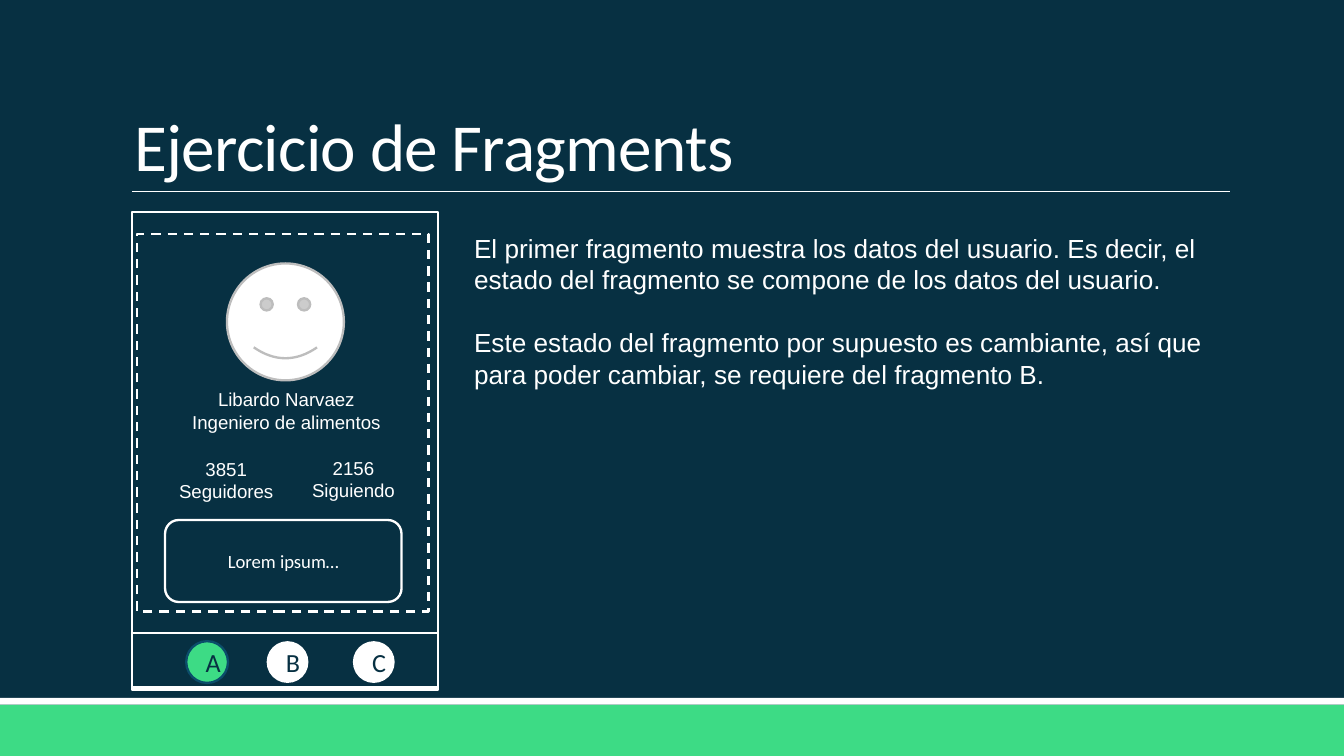
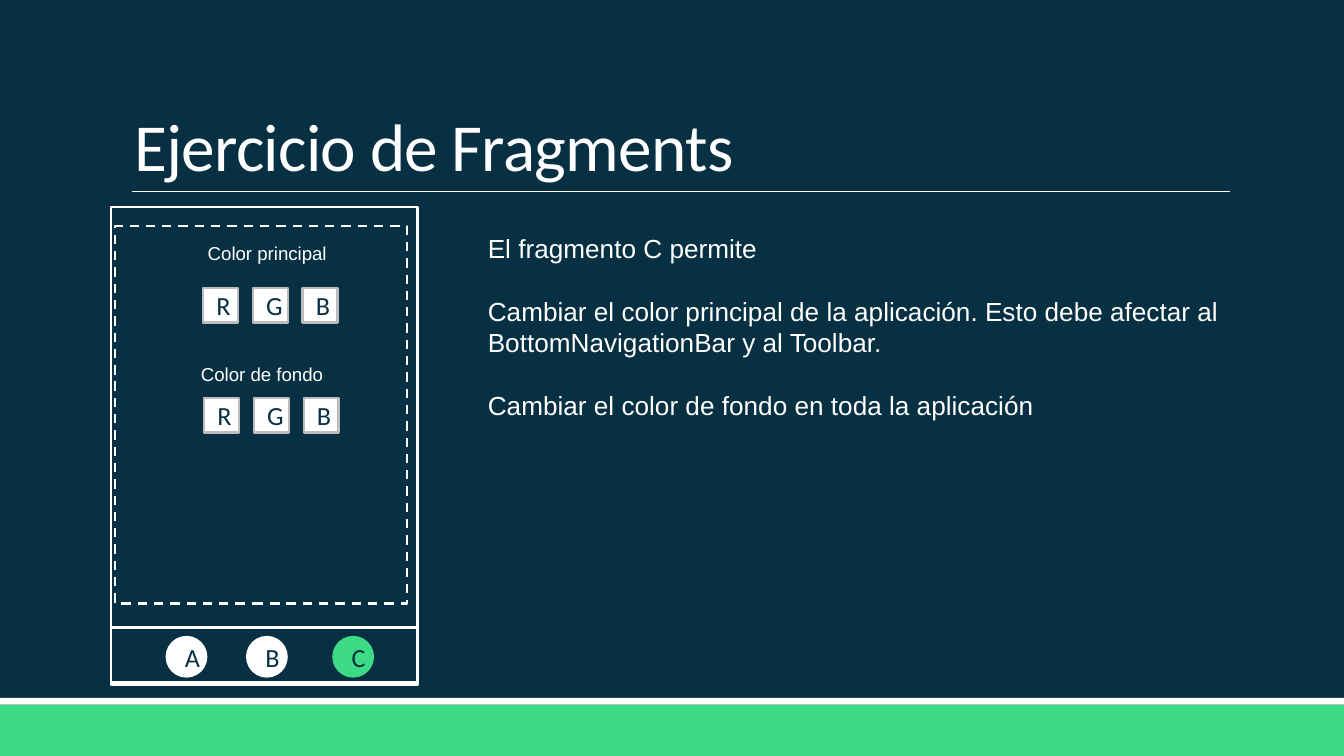
from lxml.etree import SubElement
from pptx import Presentation
from pptx.dml.color import RGBColor
from pptx.enum.dml import MSO_LINE
from pptx.enum.shapes import MSO_CONNECTOR, MSO_SHAPE
from pptx.enum.text import MSO_ANCHOR, MSO_AUTO_SIZE, PP_ALIGN
from pptx.oxml.ns import qn
from pptx.util import Cm, Pt

# Content; boxes are (left, top, width, height) in cm
NAVY, GREEN, WHITE, GREY, BLUE = "073042", "3DDB85", "FFFFFF", "BDBDBD", "0B4D6A"
TITLE = "Ejercicio de Fragments"

USER = {
    "phone": (2.49, 4.01), "pane": (2.59, 4.42),
    "active": "A", "ring": BLUE,
    "body": (8.71, 4.27, 14.53, 3.25),
    "text": [
        "El primer fragmento muestra los datos del usuario. Es decir, el "
        "estado del fragmento se compone de los datos del usuario.",
        "Este estado del fragmento por supuesto es cambiante, así que "
        "para poder cambiar, se requiere del fragmento B.",
    ],
}
COLOR = {
    "phone": (2.1, 3.91), "pane": (2.18, 4.27),
    "active": "C", "ring": None,
    "body": (8.97, 4.27, 14.53, 3.84),
    "text": [
        "El fragmento C permite",
        "Cambiar el color principal de la aplicación. Esto debe afectar al "
        "BottomNavigationBar y al Toolbar.",
        "Cambiar el color de fondo en toda la aplicación",
    ],
}
FACE = (4.29, 4.98, 2.21, 2.21)
NAME = ((2.77, 7.21, 5.28, 1.12), ["Libardo Narvaez", "Ingeniero de alimentos"])
STATS = [
    ((3.12, 8.53, 2.31, 1.12), ["3851", "Seguidores"]),
    ((5.64, 8.51, 2.08, 1.12), ["2156", "Siguiendo"]),
]
BIO = ((3.12, 9.83, 4.47, 1.55), "Lorem ipsum…")
PICKS = [  # label box, label, corner of the first swatch
    ((2.41, 4.45, 5.28, 0.69), "Color principal", (3.84, 5.44)),
    ((2.31, 6.73, 5.28, 0.69), "Color de fondo", (3.86, 7.52)),
]
TABS = {"A": 1.03, "B": 2.55, "C": 4.18}  # distance from the phone's left edge


def rgb(code):
    return RGBColor.from_string(code)


def write(frame, lines, size, color=WHITE, font="Arial", align=PP_ALIGN.CENTER, gap=0):
    for i, line in enumerate(lines):
        para = frame.paragraphs[0] if i == 0 else frame.add_paragraph()
        para.text = line
        para.alignment = align
        para.space_before = Pt(gap if i else 0)
        para.font.size, para.font.name = Pt(size), font
        para.font.color.rgb = rgb(color)


def shape(slide, kind, box, fill=None, line=None, text=None, size=14, color=NAVY):
    item = slide.shapes.add_shape(kind, *map(Cm, box))
    item.shadow.inherit = False
    if fill:
        item.fill.solid()
        item.fill.fore_color.rgb = rgb(fill)
    else:
        item.fill.background()
    if line:
        item.line.color.rgb = rgb(line)
        item.line.width = Pt(1.25)
    else:
        item.line.fill.background()
    if text:
        item.text_frame.vertical_anchor = MSO_ANCHOR.MIDDLE
        write(item.text_frame, [text], size, color, "Calibri")
    return item


def label(slide, box, lines, size=10, wrap=True, **style):
    frame = slide.shapes.add_textbox(*map(Cm, box)).text_frame
    frame.word_wrap = wrap
    frame.auto_size = MSO_AUTO_SIZE.SHAPE_TO_FIT_TEXT
    write(frame, lines, size, **style)
    return frame


def base(deck):
    slide = deck.slides.add_slide(deck.slide_layouts[6])
    slide.background.fill.solid()
    slide.background.fill.fore_color.rgb = rgb(NAVY)
    # Footer bands
    shape(slide, MSO_SHAPE.RECTANGLE, (0, 13.32, 25.4, 0.97), GREEN)
    shape(slide, MSO_SHAPE.RECTANGLE, (0, 13.19, 25.4, 0.13), WHITE)
    # Title and its rule
    rule = slide.shapes.add_connector(
        MSO_CONNECTOR.STRAIGHT, Cm(2.49), Cm(3.62), Cm(23.24), Cm(3.62))
    rule.line.color.rgb = rgb(WHITE)
    rule.line.width = Pt(0.5)
    SubElement(rule._element.spPr, qn("a:effectLst"))
    frame = label(slide, (2.29, 0.61, 20.96, 3.02), [TITLE], 36,
                  font="Calibri", align=PP_ALIGN.LEFT)
    frame.auto_size = MSO_AUTO_SIZE.NONE
    frame.vertical_anchor = MSO_ANCHOR.BOTTOM
    para = frame.paragraphs[0]
    para.line_spacing = 0.85
    para.runs[0]._r.get_or_add_rPr().set("spc", "-40")
    return slide


def phone(slide, page):
    left, top = page["phone"]
    shape(slide, MSO_SHAPE.RECTANGLE, (left, top, 5.79, 8.99), line=WHITE)
    shape(slide, MSO_SHAPE.RECTANGLE, (left, top + 7.95, 5.79, 1.09), line=WHITE)
    pane = shape(slide, MSO_SHAPE.RECTANGLE, (*page["pane"], 5.51, 7.14), line=WHITE)
    pane.line.dash_style = MSO_LINE.DASH
    for name, step in TABS.items():
        on = name == page["active"]
        shape(slide, MSO_SHAPE.OVAL, (left + step, top + 8.11, 0.79, 0.79),
              GREEN if on else WHITE, page["ring"] if on else None, name)


def build(deck, page):
    slide = base(deck)
    phone(slide, page)
    label(slide, page["body"], page["text"], 14, align=PP_ALIGN.LEFT, gap=16.8)
    return slide


def main():
    deck = Presentation()
    deck.slide_width, deck.slide_height = Cm(25.4), Cm(14.29)

    # User profile
    slide = build(deck, USER)
    shape(slide, MSO_SHAPE.SMILEY_FACE, FACE, WHITE, GREY)
    label(slide, *NAME)
    for box, lines in STATS:
        label(slide, box, lines, wrap=False)
    box, text = BIO
    shape(slide, MSO_SHAPE.ROUNDED_RECTANGLE, box, None, WHITE, text, 10, WHITE)

    # Colour settings
    slide = build(deck, COLOR)
    for box, text, (left, top) in PICKS:
        label(slide, box, [text])
        for i, key in enumerate("RGB"):
            shape(slide, MSO_SHAPE.RECTANGLE, (left + 0.94 * i, top, 0.66, 0.66),
                  WHITE, GREY, key)

    deck.save("out.pptx")


if __name__ == "__main__":
    main()
